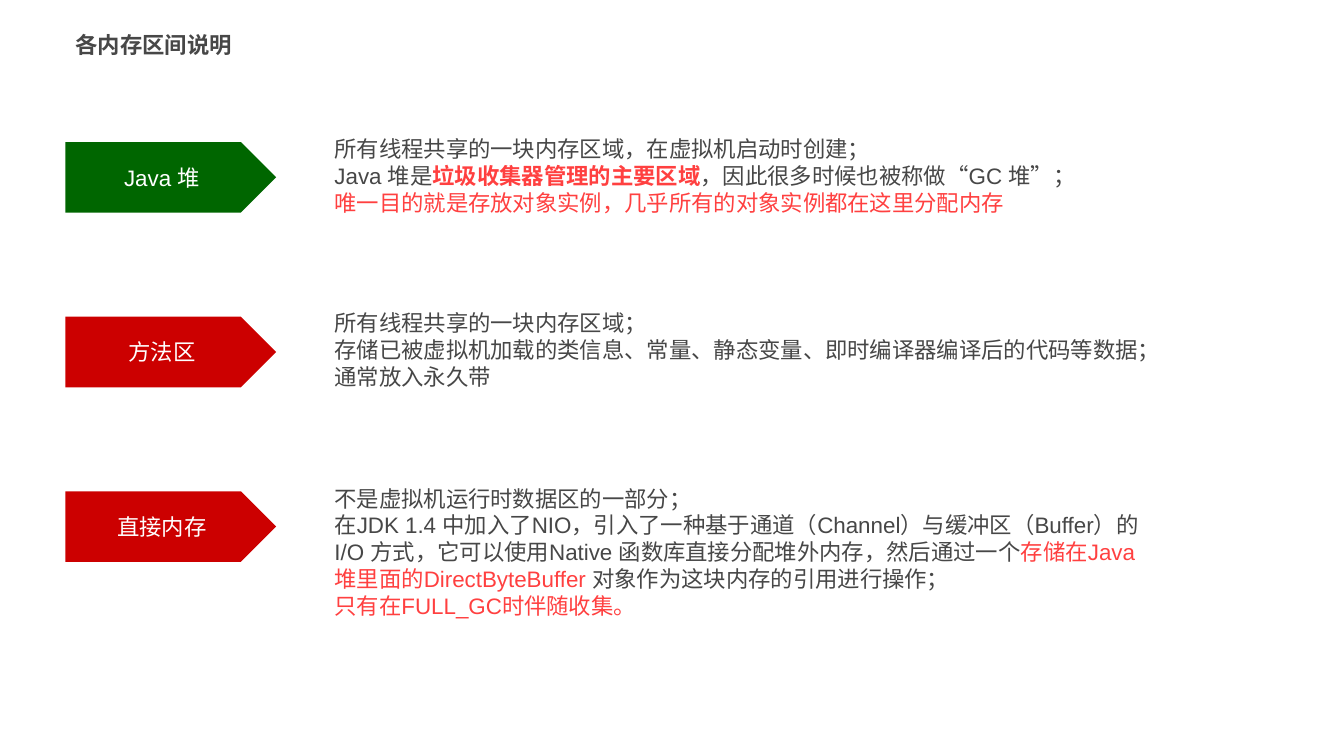
"""Build a slide that explains the Java memory areas."""
from lxml.etree import SubElement
from pptx import Presentation
from pptx.dml.color import RGBColor
from pptx.enum.shapes import MSO_SHAPE
from pptx.enum.text import MSO_ANCHOR, PP_ALIGN
from pptx.oxml.ns import qn
from pptx.util import Cm, Pt

COLORS = {"text": "474747", "accent": "FF4040", "green": "006600", "red": "CC0000", "white": "FFFFFF"}
AREAS = [
    ("Java 堆", "green", 3.28, 2.39, [
        [("所有线程共享的一块内存区域，在虚拟机启动时创建；", "text", False)],
        [("Java 堆是", "text", False), ("垃圾收集器管理的主要区域", "accent", True),
         ("，因此很多时候也被称做“GC 堆”；", "text", False)],
        [("唯一目的就是存放对象实例，几乎所有的对象实例都在这里分配内存", "accent", False)],
    ]),
    ("方法区", "red", 7.67, 2.31, [
        [("所有线程共享的一块内存区域；", "text", False)],
        [("存储已被虚拟机加载的类信息、常量、静态变量、即时编译器编译后的代码等数据；", "text", False)],
        [("通常放入永久带", "text", False)],
    ]),
    ("直接内存", "red", 12.09, 3.68, [
        [("不是虚拟机运行时数据区的一部分；", "text", False)],
        [("在JDK 1.4 中加入了NIO，引入了一种基于通道（Channel）与缓冲区（Buffer）的I/O 方式，"
          "它可以使用Native 函数库直接分配堆外内存，然后通过一个", "text", False),
         ("存储在Java 堆里面的DirectByteBuffer ", "accent", False),
         ("对象作为这块内存的引用进行操作；", "text", False)],
        [("只有在FULL_GC时伴随收集。", "accent", False)],
    ]),
]


def format_run(run, color, bold=False, font="Arial"):
    run.font.size = Pt(16)
    run.font.name = font
    run.font.bold = bold
    run.font.color.rgb = RGBColor.from_string(COLORS[color])


presentation = Presentation()
presentation.slide_width, presentation.slide_height = Cm(33.87), Cm(19.05)
slide = presentation.slides.add_slide(presentation.slide_layouts[5])

title = slide.shapes.title
title.left, title.top, title.width, title.height = Cm(1.65), Cm(0.66), Cm(26.47), Cm(1.4)
title.text_frame.text = "各内存区间说明"
title.text_frame.vertical_anchor = MSO_ANCHOR.TOP
title_paragraph = title.text_frame.paragraphs[0]
title_paragraph.alignment = PP_ALIGN.LEFT
title_run = title_paragraph.runs[0]
format_run(title_run, "text", True, "Noto Sans CJK SC")
SubElement(title_run.font._element, qn("a:ea"), typeface="Noto Sans CJK SC")

for index, (name, fill, text_top, text_height, lines) in enumerate(AREAS):
    label = slide.shapes.add_shape(
        MSO_SHAPE.PENTAGON, Cm(1.65), Cm(3.58 + 4.4 * index), Cm(5.31), Cm(1.78))
    label.shadow.inherit = False
    label.fill.solid()
    label.fill.fore_color.rgb = RGBColor.from_string(COLORS[fill])
    label.line.fill.background()
    label.text_frame.text = name
    label.text_frame.vertical_anchor = MSO_ANCHOR.MIDDLE
    label_paragraph = label.text_frame.paragraphs[0]
    label_paragraph.alignment = PP_ALIGN.CENTER
    format_run(label_paragraph.runs[0], "white")

    description = slide.shapes.add_textbox(Cm(8.18), Cm(text_top), Cm(21.16), Cm(text_height))
    text_frame = description.text_frame
    text_frame.word_wrap = True
    for line_index, line in enumerate(lines):
        paragraph = text_frame.add_paragraph() if line_index else text_frame.paragraphs[0]
        for text, color, bold in line:
            run = paragraph.add_run()
            run.text = text
            format_run(run, color, bold)

presentation.save("out.pptx")
